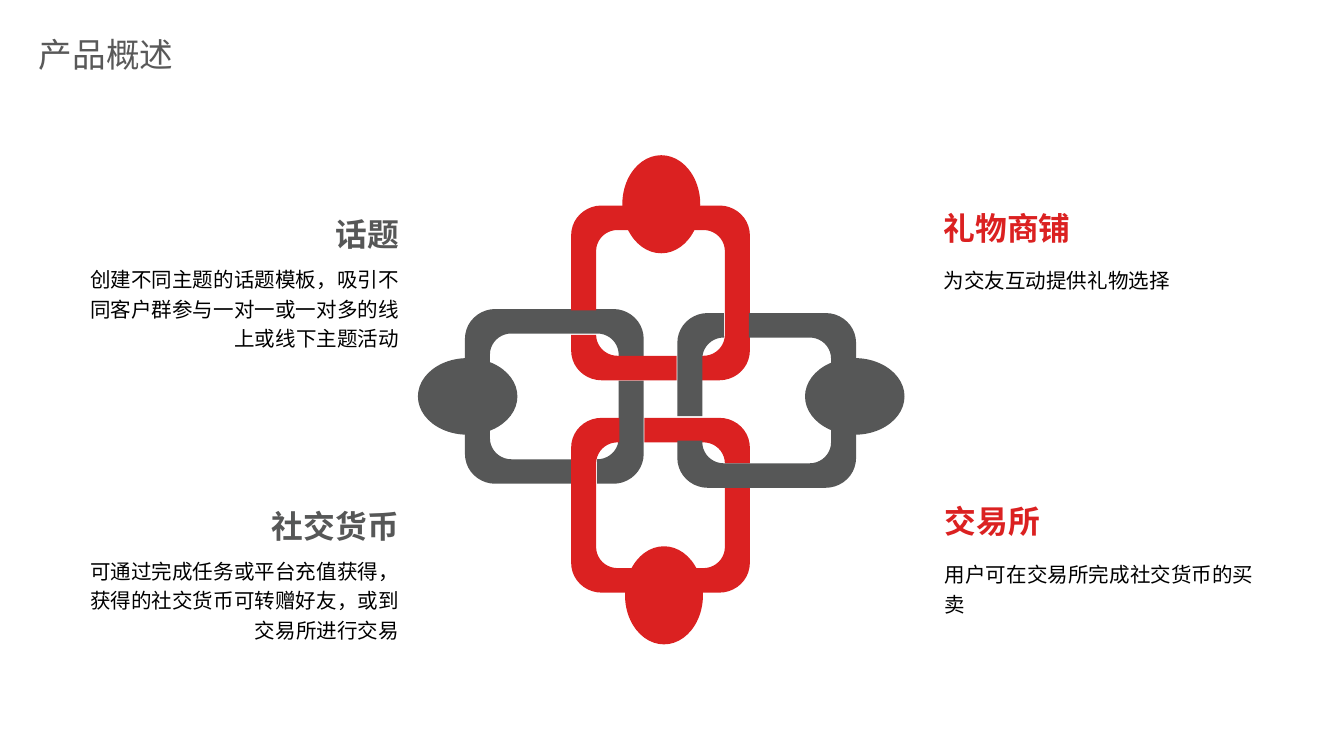
import math

import pptx
import pptx.dml.color
import pptx.enum.lang
import pptx.enum.shapes
import pptx.enum.text
import pptx.oxml.ns
import pptx.util
from pptx.util import Inches

RED, GREY, BLACK, TITLE_GREY = "DB2121", "565757", "000000", "595959"
BODY_FONT, HEADING_FONT = "Noto Sans CJK SC", "Calibri"
ALIGN = pptx.enum.text.PP_ALIGN
ANCHOR = pptx.enum.text.MSO_ANCHOR

# Link proportions, as fractions of the link's box
BAND, OUTER_RADIUS, INNER_RADIUS = 0.14, 0.17, 0.12
LINK_WIDTH, LINK_HEIGHT = 1.33, 1.3
FLAT_KNOB, UPRIGHT_KNOB = (0.74, 0.57), (0.73, 0.58)


def color(hex_string):
    return pptx.dml.color.RGBColor.from_string(hex_string)


def add_text(page, text, left, top, width, height, *, size, fill, font=BODY_FONT,
             bold=False, align=ALIGN.LEFT, anchor=ANCHOR.TOP, wrap=True,
             spacing=None, inset=0):
    box = page.shapes.add_textbox(*map(Inches, (left, top, width, height)))
    frame = box.text_frame
    frame.word_wrap = wrap
    frame.vertical_anchor = anchor
    frame.margin_left = frame.margin_right = 0
    frame.margin_top = frame.margin_bottom = Inches(inset)
    para = frame.paragraphs[0]
    para.alignment = align
    para.line_spacing = spacing
    span = para.add_run()
    span.text = text
    span.font.name = font
    span.font.size = pptx.util.Pt(size)
    span.font.bold = bold
    span.font.color.rgb = color(fill)
    span.font.language_id = pptx.enum.lang.MSO_LANGUAGE_ID.SIMPLIFIED_CHINESE
    # East Asian typeface
    properties = span.font._element
    east_asian = properties.makeelement(pptx.oxml.ns.qn("a:ea"), {"typeface": BODY_FONT})
    properties.find(pptx.oxml.ns.qn("a:latin")).addnext(east_asian)


def paint(shape, fill):
    shape.fill.solid()
    shape.fill.fore_color.rgb = color(fill)
    shape.line.fill.background()
    shape.shadow.inherit = False


def corner_arc(quadrant, inset, radius, steps=10):
    """Corner of a unit square; quadrants run clockwise from bottom right."""
    near, far = inset + radius, 1 - inset - radius
    center_x = far if quadrant in (0, 3) else near
    center_y = far if quadrant in (0, 1) else near
    angles = [math.pi / 2 * (quadrant + step / steps) for step in range(steps + 1)]
    return [(center_x + radius * math.cos(a), center_y + radius * math.sin(a))
            for a in angles]


def strip(quadrants, outer_ends, inner_ends):
    """Band that follows the given corners between two cut ends."""
    outer = [p for q in quadrants for p in corner_arc(q, 0, OUTER_RADIUS)]
    inner = [p for q in quadrants for p in corner_arc(q, BAND, INNER_RADIUS)]
    return ([outer_ends[0], *outer, outer_ends[1]]
            + [inner_ends[1], *reversed(inner), inner_ends[0]])


def add_link(group, left, top, quarter_turns, knob_center, fill):
    # Ring cut on two sides, where the neighbouring links pass over it
    edge = 1 - BAND
    strips = [
        strip([1, 2, 3], [(0.6, 1), (1, 0.27)], [(0.6, edge), (edge, 0.27)]),
        strip([0], [(1, 0.41), (0.74, 1)], [(edge, 0.41), (0.74, edge)]),
    ]
    builder = None
    for points in strips:
        for _ in range(quarter_turns):
            points = [(1 - y, x) for x, y in points]
        points = [(Inches(left + x * LINK_WIDTH), Inches(top + y * LINK_HEIGHT))
                  for x, y in points]
        if builder is None:
            builder = group.shapes.build_freeform(*points[0])
        else:
            builder.move_to(*points[0])
        builder.add_line_segments(points[1:], close=True)
    paint(builder.convert_to_shape(), fill)

    # Knob on the outer side
    upright = quarter_turns % 2
    width, height = UPRIGHT_KNOB if upright else FLAT_KNOB
    knob = group.shapes.add_shape(
        pptx.enum.shapes.MSO_SHAPE.OVAL,
        Inches(left + knob_center[0] - width / 2),
        Inches(top + knob_center[1] - height / 2),
        Inches(width), Inches(height))
    knob.rotation = 90 * upright
    paint(knob, fill)


def add_chain(page, left, top):
    group = page.shapes.add_group_shape()
    links = [
        (0, 0.77, 0, (0.02, 0.65), GREY),
        (0.79, 0, 1, (0.67, -0.01), RED),
        (0.79, 1.58, 3, (0.69, 1.32), RED),
        (1.58, 0.8, 2, (1.32, 0.62), GREY),
    ]
    for x, y, quarter_turns, knob_center, fill in links:
        add_link(group, left + x, top + y, quarter_turns, knob_center, fill)


def add_topic(page, left, top, heading, body, body_offset, on_left):
    width, heading_width = 2.38, 1.26
    fill = GREY if on_left else RED
    side = dict(align=ALIGN.RIGHT if on_left else ALIGN.LEFT,
                anchor=ANCHOR.TOP if on_left else ANCHOR.MIDDLE)
    heading_left = left + width - heading_width if on_left else left
    add_text(page, body, left, top + body_offset, width, 0.43,
             size=11, fill=BLACK, spacing=1.2, **side)
    add_text(page, heading, heading_left, top, heading_width, 0.25, size=17,
             fill=fill, font=HEADING_FONT, bold=True, wrap=False, **side)


def main():
    # Widescreen page, 16:9
    deck = pptx.Presentation()
    deck.slide_width = Inches(10)
    deck.slide_height = Inches(10 * 9 / 16)
    page = deck.slides.add_slide(deck.slide_layouts[6])

    add_chain(page, 3.46, 1.53)

    # Topics around the chain
    topics = [
        (0.59, 1.6, "话题",
         "创建不同主题的话题模板，吸引不同客户群参与一对一或一对多的线上或线下主题活动", 0.35, True),
        (0.59, 3.77, "社交货币",
         "可通过完成任务或平台充值获得，获得的社交货币可转赠好友，或到交易所进行交易", 0.35, True),
        (7.02, 1.57, "礼物商铺", "为交友互动提供礼物选择", 0.28, False),
        (7.03, 3.75, "交易所", "用户可在交易所完成社交货币的买卖", 0.4, False),
    ]
    for topic in topics:
        add_topic(page, *topic)

    # Page title
    add_text(page, "产品概述", 0.29, 0.19, 2.33, 0.42, size=18, fill=TITLE_GREY,
             anchor=ANCHOR.MIDDLE, inset=0.05)

    deck.save("out.pptx")


if __name__ == "__main__":
    main()
